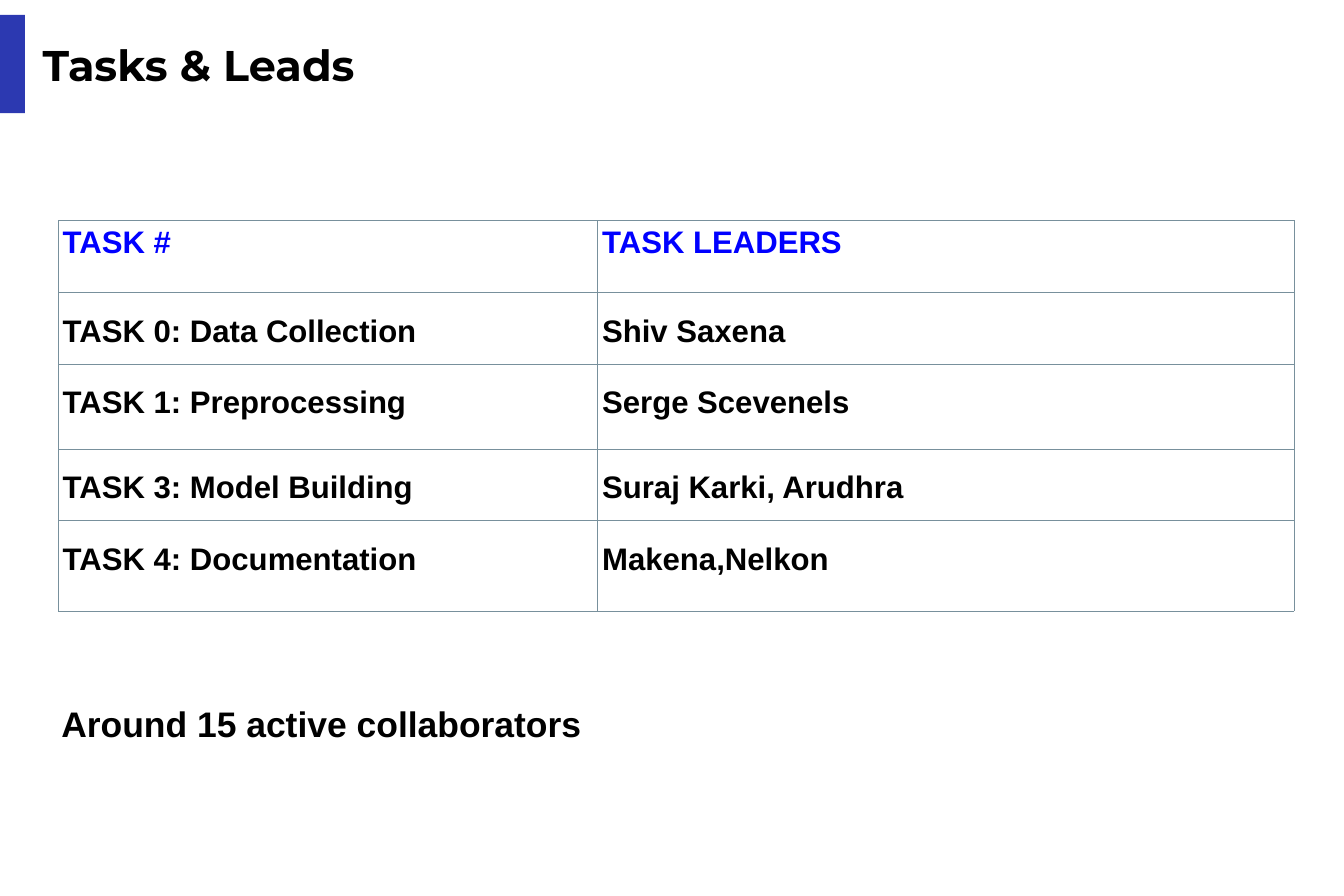
from dataclasses import dataclass
from lxml.etree import SubElement
from pptx import Presentation
from pptx.dml.color import RGBColor
from pptx.enum.shapes import MSO_SHAPE
from pptx.enum.text import MSO_ANCHOR, MSO_AUTO_SIZE, PP_ALIGN
from pptx.oxml.ns import qn
from pptx.util import Pt

SIDES = ("left", "top", "right", "bottom")


@dataclass(frozen=True)
class Theme:
    bar: str = "2C39B1"
    head: str = "0000FF"
    ink: str = "000000"
    grid: str = "78909C"
    title: int = 69
    note: int = 57
    cell: int = 50
    face: str = "Montserrat"
    body: str = "Arial"


def apply(item, form):
    for name, value in form.items():
        setattr(item, name, value)


def inset(item, pad):
    apply(item, {f"margin_{side}": Pt(pad) for side in SIDES})


class Board:
    def __init__(self, slide, theme):
        self.slide = slide
        self.theme = theme

    def label(self, frame, text, size, face, pad):
        apply(frame, {"word_wrap": True, "auto_size": MSO_AUTO_SIZE.NONE})
        inset(frame, pad)
        self.style(frame, text, size, self.theme.ink, face)

    def style(self, frame, text, size, color, face, **form):
        frame.text = text
        para = frame.paragraphs[0]
        apply(para, {"alignment": PP_ALIGN.LEFT, **form})
        font = para.runs[0].font
        apply(font, {"name": face, "size": Pt(size), "bold": True})
        font.color.rgb = RGBColor.from_string(color)

    def title(self, text, *place):
        box = self.slide.shapes.title
        apply(box, dict(zip(("left", "top", "width", "height"), map(Pt, place))))
        self.label(box.text_frame, text, self.theme.title, self.theme.face, 4.5)
        box.text_frame.vertical_anchor = MSO_ANCHOR.MIDDLE

    def bar(self, *place):
        shape = self.slide.shapes.add_shape(MSO_SHAPE.RECTANGLE, *map(Pt, place))
        shape.shadow.inherit = False
        shape.fill.solid()
        shape.fill.fore_color.rgb = RGBColor.from_string(self.theme.bar)
        shape.line.fill.background()

    def note(self, text, *place):
        box = self.slide.shapes.add_textbox(*map(Pt, place))
        self.label(box.text_frame, text, self.theme.note, self.theme.body, 7.2)

    def border(self, cell):
        props = cell._tc.get_or_add_tcPr()
        for side in ("lnL", "lnR", "lnT", "lnB"):
            line = SubElement(props, qn(f"a:{side}"), w=str(Pt(0.75)))
            fill = SubElement(line, qn("a:solidFill"))
            SubElement(fill, qn("a:srgbClr"), val=self.theme.grid)

    def table(self, rows, left, top, wide, tall):
        frame = self.slide.shapes.add_table(
            len(rows), len(wide), Pt(left), Pt(top), Pt(sum(wide)), Pt(sum(tall)))
        grid = frame.table
        apply(grid, {"first_row": False, "horz_banding": False})
        for col, width in zip(grid.columns, wide):
            col.width = Pt(width)
        for row, height in zip(grid.rows, tall):
            row.height = Pt(height)
        look = self.theme
        for r, row in enumerate(rows):
            color, form = (look.ink, {"line_spacing": 1.5}) if r else (look.head, {})
            for c, text in enumerate(row):
                cell = grid.cell(r, c)
                inset(cell, 7.2)
                self.style(cell.text_frame, text, look.cell, color, look.body, **form)
                self.border(cell)
                cell.fill.background()


def main():
    deck = Presentation()
    apply(deck, {"slide_width": Pt(2160), "slide_height": Pt(1440)})
    board = Board(deck.slides.add_slide(deck.slide_layouts[5]), Theme())

    # Heading with its accent bar
    board.bar(0, 24, 40, 158)
    board.title("Tasks & Leads", 64, 42, 1272, 123)

    # Tasks and who leads them
    tasks = [
        ("TASK #", "TASK LEADERS"),
        ("TASK 0: Data Collection", "Shiv Saxena"),
        ("TASK 1: Preprocessing", "Serge Scevenels"),
        ("TASK 3: Model Building", "Suraj Karki, Arudhra"),
        ("TASK 4: Documentation", "Makena,Nelkon"),
    ]
    board.table(tasks, 93.6, 354.2, (867, 1119), (115.2, 115.2, 136.8, 115.2, 145.4))

    # Closing remark
    board.note("Around 15 active collaborators", 91.4, 1120.3, 1736, 158.4)

    deck.save("out.pptx")


if __name__ == "__main__":
    main()
